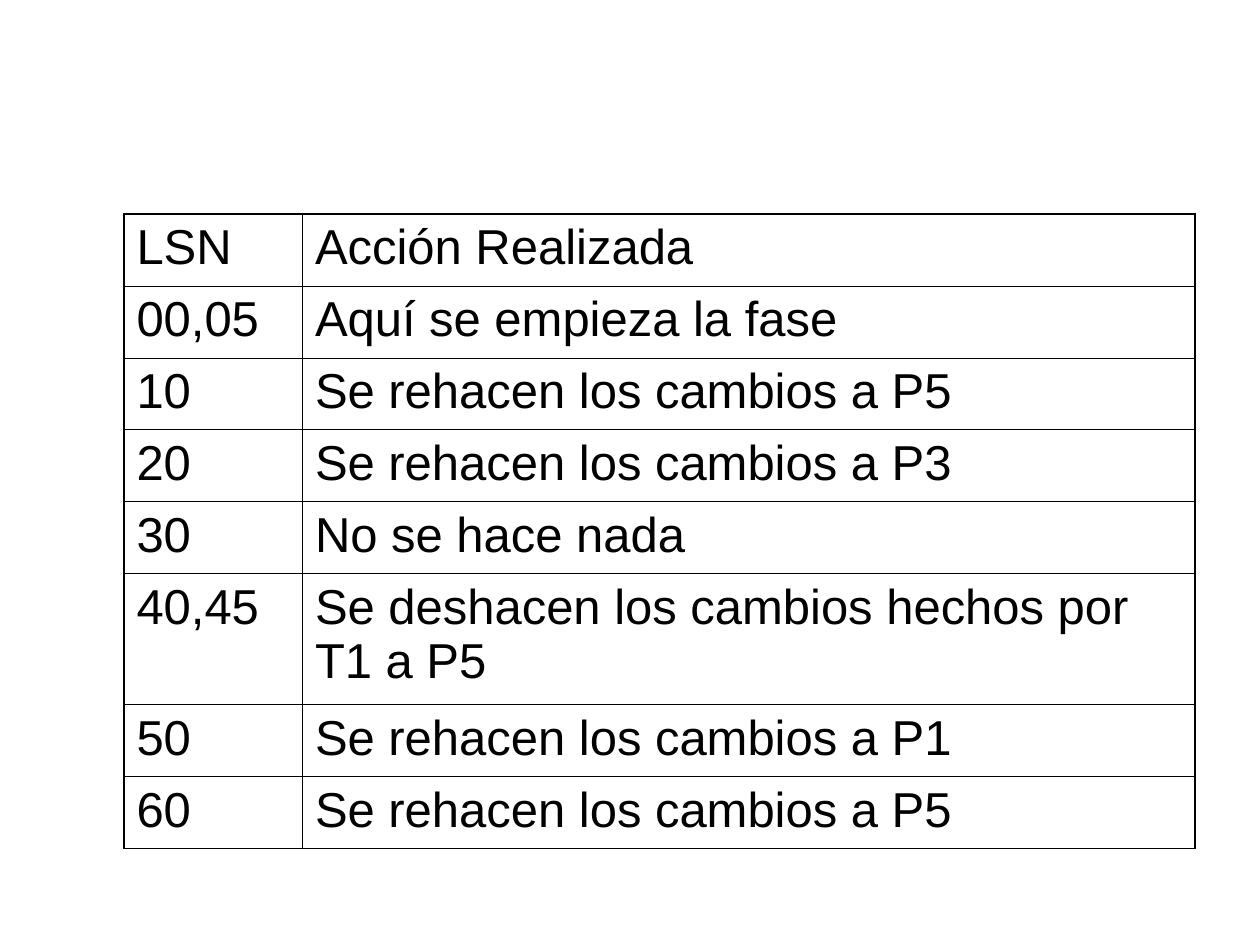
from pptx import Presentation
from pptx.dml.color import RGBColor
from pptx.oxml import parse_xml
from pptx.oxml.ns import nsdecls
from pptx.util import Pt

INK = "000000"
THIN, THICK = 0.45, 1.08
ROW_HEIGHT, TALL_ROW_HEIGHT = 41.1, 74.9
COLUMN_WIDTHS = [102, 510]
LOG_ACTIONS = [
    ("LSN", "Acción Realizada"),
    ("00,05", "Aquí se empieza la fase"),
    ("10", "Se rehacen los cambios a P5"),
    ("20", "Se rehacen los cambios a P3"),
    ("30", "No se hace nada"),
    ("40,45", "Se deshacen los cambios hechos por T1 a P5"),
    ("50", "Se rehacen los cambios a P1"),
    ("60", "Se rehacen los cambios a P5"),
]
TALL_ROW = 5


def set_border(cell, side, width):
    """Draw one side (L, R, T or B) of a cell; call in that order, before the fill."""
    cell._tc.get_or_add_tcPr().append(parse_xml(
        f'<a:ln{side} {nsdecls("a")} w="{Pt(width)}"><a:solidFill>'
        f'<a:srgbClr val="{INK}"/></a:solidFill></a:ln{side}>'))


deck = Presentation()
deck.slide_width, deck.slide_height = Pt(720), Pt(540)
page = deck.slides.add_slide(deck.slide_layouts[6])

heights = [TALL_ROW_HEIGHT if row == TALL_ROW else ROW_HEIGHT
           for row in range(len(LOG_ACTIONS))]
table = page.shapes.add_table(
    len(LOG_ACTIONS), len(COLUMN_WIDTHS), Pt(70.8), Pt(122.4),
    Pt(sum(COLUMN_WIDTHS)), Pt(sum(heights))).table
table.first_row = table.horz_banding = False
for column, width in zip(table.columns, COLUMN_WIDTHS):
    column.width = Pt(width)

font_format = {"name": "Arial", "size": Pt(28), "bold": False}
last_row, last_column = len(LOG_ACTIONS) - 1, len(COLUMN_WIDTHS) - 1
for row, entries in enumerate(LOG_ACTIONS):
    table.rows[row].height = Pt(heights[row])
    for column, entry in enumerate(entries):
        cell = table.cell(row, column)
        outer_sides = {"L": column == 0, "R": column == last_column,
                       "T": row == 0, "B": row == last_row}
        for side, is_outer in outer_sides.items():
            set_border(cell, side, THICK if is_outer else THIN)
        cell.fill.background()
        cell.text = entry
        font = cell.text_frame.paragraphs[0].runs[0].font
        for name, value in font_format.items():
            setattr(font, name, value)
        font.color.rgb = RGBColor.from_string(INK)

deck.save("out.pptx")
